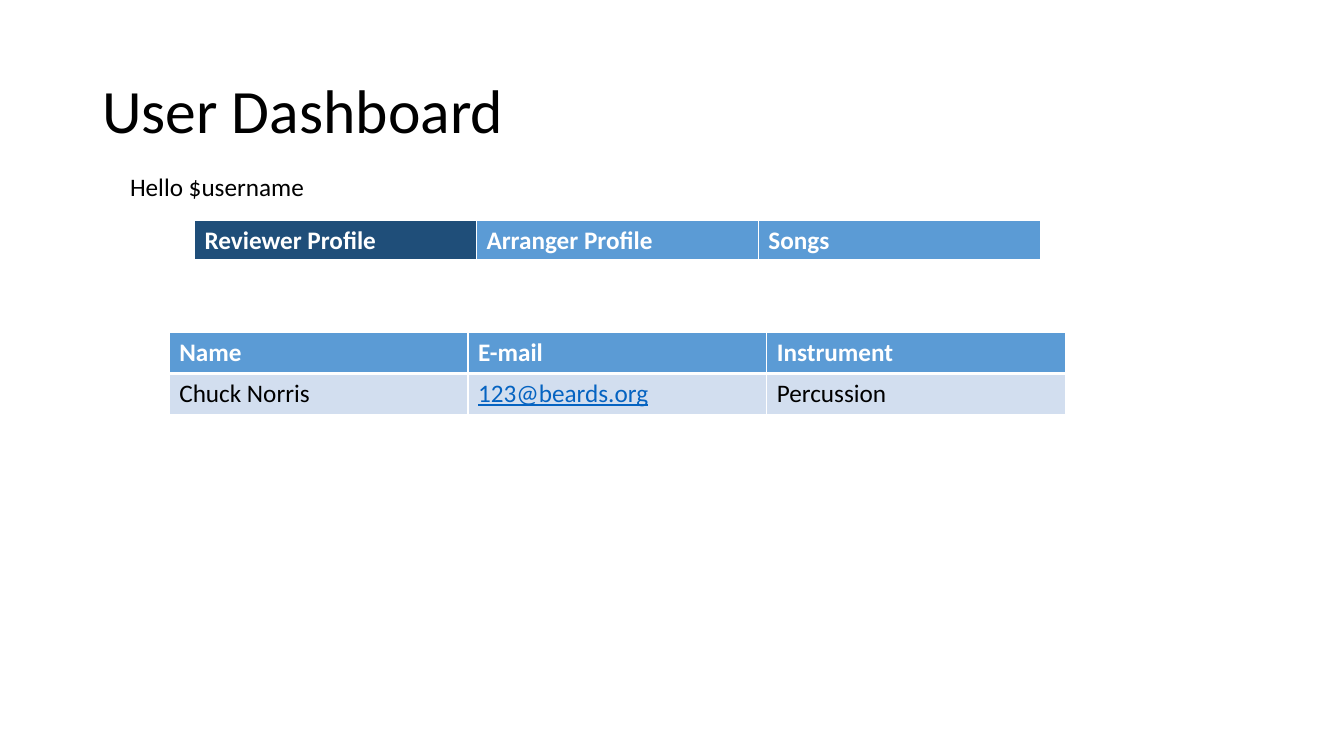
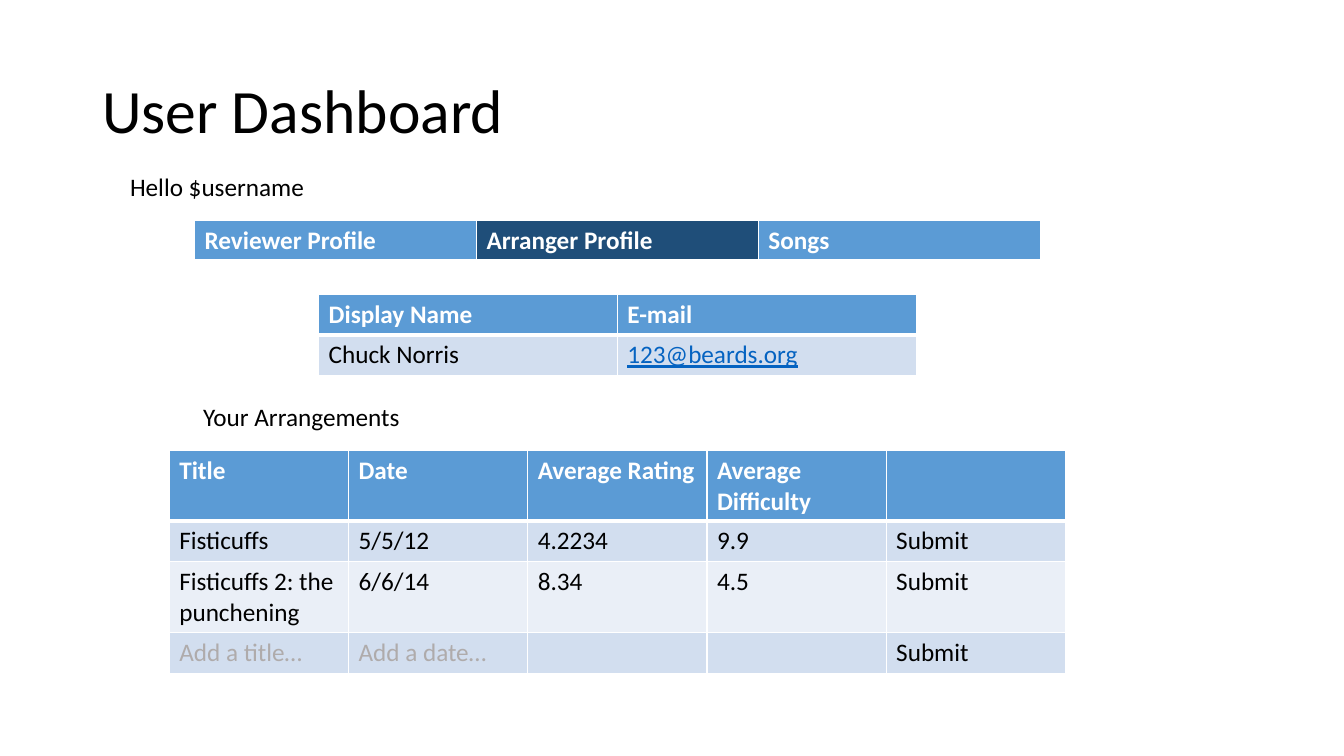
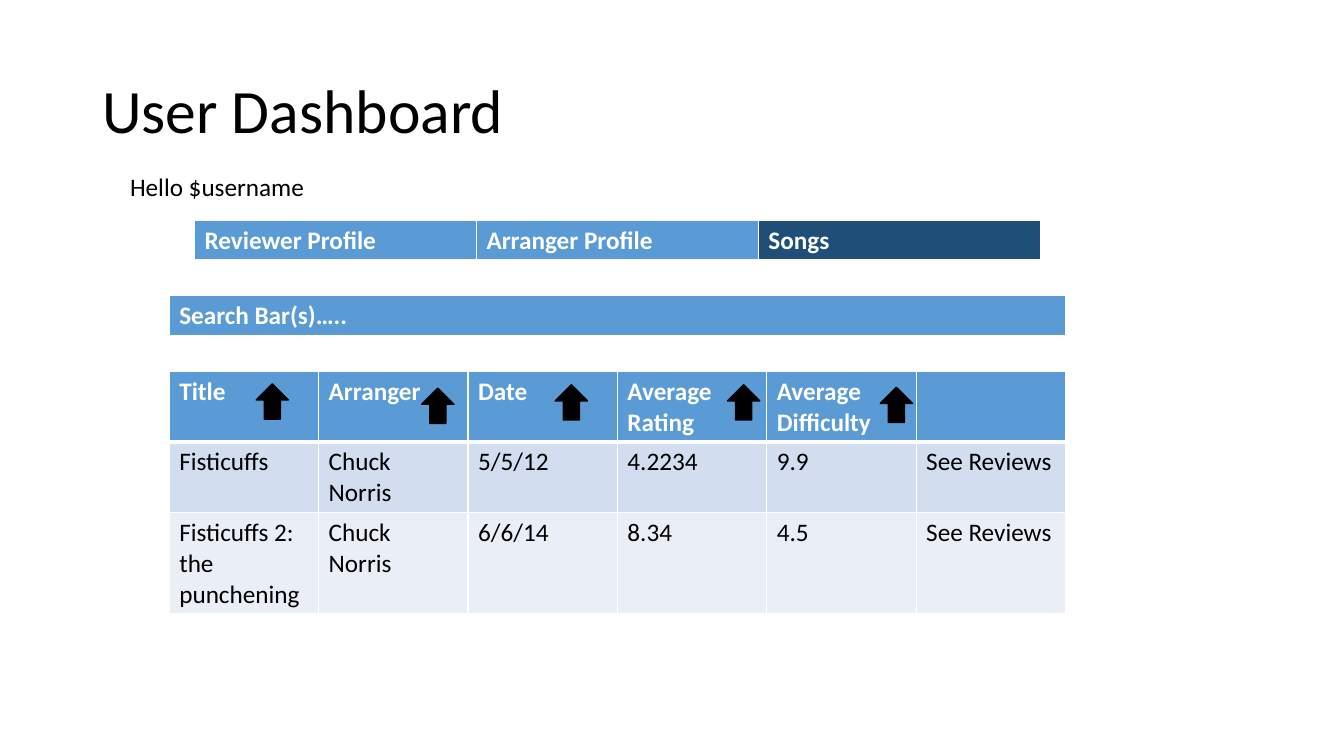
from lxml.etree import SubElement
from pptx import Presentation
from pptx.dml.color import RGBColor
from pptx.enum.shapes import MSO_SHAPE as Preset
from pptx.enum.text import MSO_ANCHOR as Anchor
from pptx.oxml.ns import qn
from pptx.util import Inches, Pt

COLORS = {
    "text": "000000",
    "paper": "FFFFFF",
    "header": "5B9BD5",
    "active": "1F4E79",
    "odd_row": "D2DEEF",
    "even_row": "EAEFF7",
    "link": "0563C1",
    "hint": "AFABAB",
}
GRID_COLUMNS, GRID_ROWS = 160, 90
TABLE_CENTER = 73.5
TABLE_WIDTH = 106.7
ROW_HEIGHT = 4.87
MENU = ["Reviewer Profile", "Arranger Profile", "Songs"]


class Dashboard:
    def __init__(self):
        self.presentation = Presentation()
        self.presentation.slide_width = Inches(13.33)
        self.presentation.slide_height = Inches(7.5)
        self.slide = None

    def box(self, left, top, width, height):
        column = self.presentation.slide_width / GRID_COLUMNS
        row = self.presentation.slide_height / GRID_ROWS
        return [round(n * unit) for n, unit in zip((left, top, width, height), (column, row) * 2)]

    def color(self, name):
        return RGBColor.from_string(COLORS[name])

    def add_text(self, frame, text, size=18, color="text", **formats):
        paragraph = frame.paragraphs[0]
        run = paragraph.add_run()
        run.text = text
        run.font.color.rgb = self.color(color)
        for name, value in {"name": "Calibri", "size": Pt(size), **formats}.items():
            setattr(run.font, name, value)
        return paragraph

    def label(self, text, left, top, width, height=4.8, **formats):
        frame = self.slide.shapes.add_textbox(*self.box(left, top, width, height)).text_frame
        frame.word_wrap = True
        return frame, self.add_text(frame, text, **formats)

    def page(self, active):
        self.slide = self.presentation.slides.add_slide(self.presentation.slide_layouts[6])
        frame, paragraph = self.label("User Dashboard", 11, 4.8, 138, 17.4, size=44)
        frame.vertical_anchor = Anchor.MIDDLE
        paragraph.line_spacing = 0.9
        self.label("Hello $username", 14.3, 19.8, 24)
        self.table([MENU], 26.2, 100.7, active)

    def border(self, cell, widths):
        properties = cell._tc.get_or_add_tcPr()
        for side, width in zip("LRTB", widths):
            line = SubElement(properties, qn(f"a:ln{side}"), w=str(Pt(width)))
            SubElement(SubElement(line, qn("a:solidFill")), qn("a:srgbClr"), val=COLORS["paper"])

    def cell_format(self, text, is_header):
        if is_header:
            return {"color": "paper", "bold": True}
        if "@" in text:
            return {"color": "link", "bold": False, "underline": True}
        return {"color": "hint" if text.endswith("…") else "text", "bold": False}

    def table(self, rows, top, width=TABLE_WIDTH, active=None):
        area = self.box(TABLE_CENTER - width / 2, top, width, ROW_HEIGHT * len(rows))
        table = self.slide.shapes.add_table(len(rows), len(rows[0]), *area).table
        for row, texts in enumerate(rows):
            for column, text in enumerate(texts):
                cell = table.cell(row, column)
                self.border(cell, (1, 1, 3 if row == 1 else 1, 3 if row == 0 else 1))
                fill = "odd_row" if row % 2 else "even_row"
                if row == 0:
                    fill = "active" if text == active else "header"
                cell.fill.solid()
                cell.fill.fore_color.rgb = self.color(fill)
                if text:
                    self.add_text(cell.text_frame, text, **self.cell_format(text, row == 0))

    def sort_arrow(self, left, top):
        arrow = self.slide.shapes.add_shape(Preset.UP_ARROW, *self.box(left, top, 3.84, 4.2))
        arrow.shadow.inherit = False
        arrow.fill.solid()
        arrow.fill.fore_color.rgb = arrow.line.color.rgb = self.color("text")
        arrow.line.width = Pt(1)


def main():
    dashboard = Dashboard()

    dashboard.page("Reviewer Profile")
    dashboard.table([
        ["Name", "E-mail", "Instrument"],
        ["Chuck Norris", "123@beards.org", "Percussion"],
    ], 39.6)

    dashboard.page("Arranger Profile")
    dashboard.table([
        ["Display Name", "E-mail"],
        ["Chuck Norris", "123@beards.org"],
    ], 35, TABLE_WIDTH * 2 / 3)
    dashboard.table([
        ["Title", "Date", "Average Rating", "Average Difficulty", ""],
        ["Fisticuffs", "5/5/12", "4.2234", "9.9", "Submit"],
        ["Fisticuffs 2: the punchening", "6/6/14", "8.34", "4.5", "Submit"],
        ["Add a title…", "Add a date…", "", "", "Submit"],
    ], 53.6)
    dashboard.label("Your Arrangements", 23, 47.2, 63)

    dashboard.page("Songs")
    dashboard.table([["Search Bar(s)….."]], 35.2)
    dashboard.table([
        ["Title", "Arranger", "Date", "Average Rating", "Average Difficulty", ""],
        ["Fisticuffs", "Chuck Norris", "5/5/12", "4.2234", "9.9", "See Reviews"],
        ["Fisticuffs 2: the punchening", "Chuck Norris", "6/6/14", "8.34", "4.5", "See Reviews"],
    ], 44.2)
    for left, top in [(30.5, 45.7), (50.2, 46.2), (66.1, 45.8), (86.6, 45.8), (104.8, 46.1)]:
        dashboard.sort_arrow(left, top)

    dashboard.presentation.save("out.pptx")


if __name__ == "__main__":
    main()
